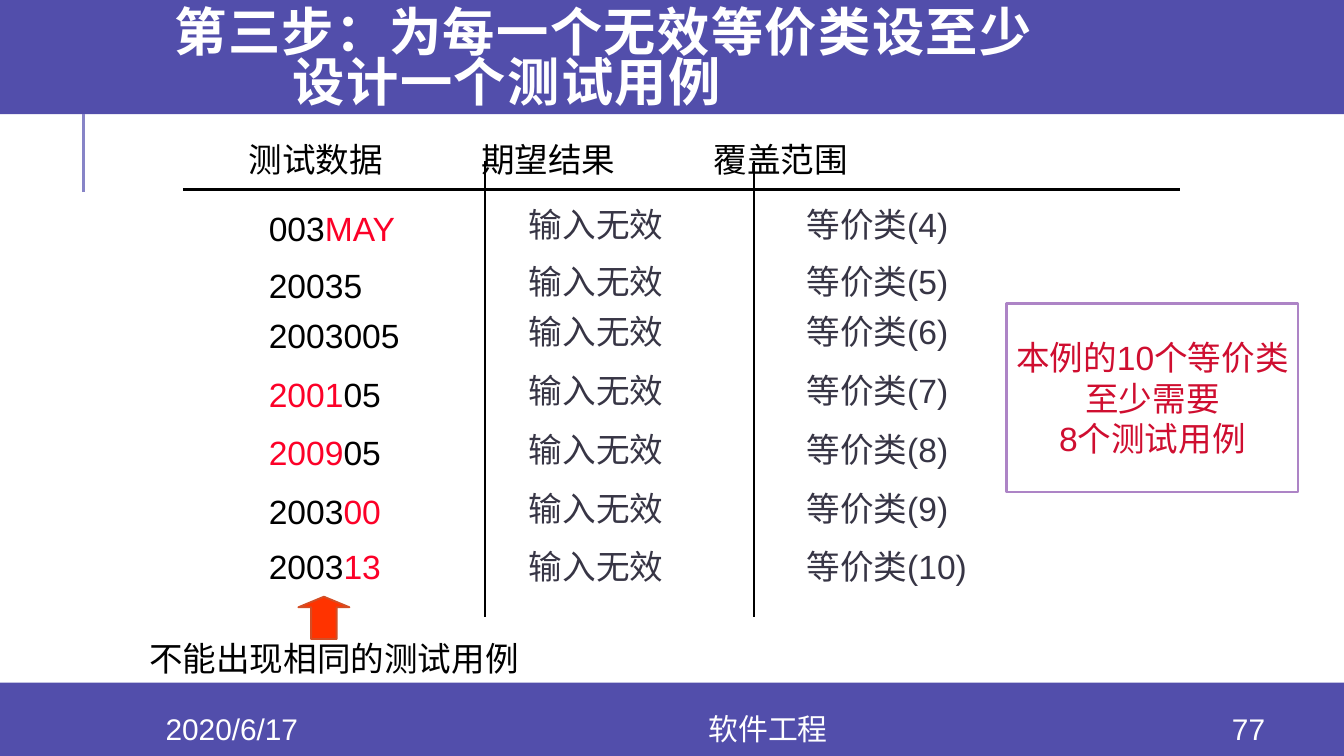
import pptx
import pptx.dml.color
import pptx.enum.shapes
import pptx.enum.text
import pptx.oxml
import pptx.util
import lxml.etree

THEME = {
    "band": "524EAB", "rail": "8784C7", "ink": "000000", "muted": "373545",
    "invalid": "FC0128", "white": "FFFFFF", "arrow": "FF3300",
    "arrow_edge": "D34E25", "note": "CF0E30", "note_edge": "AD84C6",
    "font": "Arial", "title_font": "Montserrat",
    "title_size": 28, "body_size": 18, "footer_size": 16,
}
COLUMNS, ROWS = 100, 56.25  # grid cells are a tenth of an inch square
CELL = pptx.util.Inches(0.1)
TIGHT = (0.7, 0.4)  # side and top insets, in cells

SHAPES = pptx.enum.shapes.MSO_SHAPE
LEFT, CENTER = pptx.enum.text.PP_ALIGN.LEFT, pptx.enum.text.PP_ALIGN.CENTER
TOP, MIDDLE = pptx.enum.text.MSO_ANCHOR.TOP, pptx.enum.text.MSO_ANCHOR.MIDDLE


def cells(*counts):
    return [round(count * CELL) for count in counts]


def write(holder, paragraphs, ink="ink", size="body_size", font="font", bold=None,
          align=LEFT, anchor=TOP, wrap=True, insets=(1, 0.5), hang=0,
          spacing=None, tracking=None):
    """Fill a box; each paragraph is a list of (text, colour name or None).

    A vertical tab in a text breaks the line; hang indents the lines after it.
    """
    frame = holder.text_frame
    frame.word_wrap, frame.vertical_anchor = wrap, anchor
    frame.margin_left = frame.margin_right = cells(insets[0])[0]
    frame.margin_top = frame.margin_bottom = cells(insets[1])[0]
    for index, runs in enumerate(paragraphs):
        paragraph = frame.add_paragraph() if index else frame.paragraphs[0]
        paragraph.alignment = align
        paragraph.line_spacing = spacing
        if hang:
            properties = paragraph._p.get_or_add_pPr()
            properties.set("marL", str(cells(hang)[0]))
            properties.set("indent", str(cells(-hang)[0]))
        for text, run_ink in runs:
            for number, line in enumerate(text.split("\v")):
                if number:
                    paragraph.add_line_break()
                run = paragraph.add_run()
                run.text = line
                run.font.name, run.font.size = THEME[font], pptx.util.Pt(THEME[size])
                run.font.bold = bold
                run.font.color.rgb = pptx.dml.color.RGBColor.from_string(
                    THEME[run_ink or ink])
                if tracking:
                    run._r.get_or_add_rPr().set("spc", str(tracking))


presentation = pptx.Presentation()
presentation.slide_width, presentation.slide_height = cells(COLUMNS, ROWS)
slide = presentation.slides.add_slide(presentation.slide_layouts[6])
shapes = slide.shapes

# Bands, note box and arrow
drawn = {}
for part, kind, area, fill, edge, weight in [
    ("footer", SHAPES.RECTANGLE, (0, 50.8, COLUMNS, ROWS - 50.8), "band", None, 0),
    ("header", SHAPES.RECTANGLE, (0, 0, COLUMNS, 8.5), "band", None, 0),
    ("arrow", SHAPES.UP_ARROW, (22.2, 44.4, 3.8, 3.15), "arrow", "arrow_edge", 1),
    ("note", SHAPES.RECTANGLE, (74.9, 22.6, 21.7, 14), "white", "note_edge", 1.25),
]:
    shape = shapes.add_shape(kind, *cells(*area))
    shape.shadow.inherit = False
    shape.fill.solid()
    shape.fill.fore_color.rgb = pptx.dml.color.RGBColor.from_string(THEME[fill])
    if edge:
        shape.line.color.rgb = pptx.dml.color.RGBColor.from_string(THEME[edge])
        shape.line.width = pptx.util.Pt(weight)
    else:
        shape.line.fill.background()
    drawn[part] = shape
drawn["arrow"].adjustments[0], drawn["arrow"].adjustments[1] = 0.5, 0.25

# Side rail and table rules
for ends, ink, weight in [
    ((6.2, 14.3, 6.2, 8.5), "rail", 1.5),
    ((13.6, 14.1, 87.8, 14.1), "ink", 2),
    ((36.1, 12, 36.1, 45.9), "ink", 1),
    ((56.1, 12, 56.1, 45.9), "ink", 1),
]:
    rule = shapes.add_connector(pptx.enum.shapes.MSO_CONNECTOR.STRAIGHT, *cells(*ends))
    rule.line.color.rgb = pptx.dml.color.RGBColor.from_string(THEME[ink])
    rule.line.width = pptx.util.Pt(weight)
    lxml.etree.SubElement(rule._element.spPr, pptx.oxml.ns.qn("a:effectLst"))

# Column headings, evenly spaced
for position, text in enumerate(["测试数据", "期望结果", "覆盖范围"]):
    heading = shapes.add_textbox(*cells(17.8 + 17.3 * position, 9.95, 17.3, 3.8))
    write(heading, [[(text, None)]], insets=TIGHT)

# Test cases: top of the data, top of the result and class, data
test_cases = [
    (15.05, 14.75, [("003", None), ("MAY", "invalid")]),
    (19.3, 19, [("20035", None)]),
    (23.05, 22.75, [("2003005", None)]),
    (27.4, 27.15, [("2001", "invalid"), ("05", None)]),
    (31.75, 31.5, [("2009", "invalid"), ("05", None)]),
    (36.15, 35.9, [("2003", None), ("00", "invalid")]),
    (40.2, 40.25, [("2003", None), ("13", "invalid")]),
]
for class_number, (data_row, result_row, test_data) in enumerate(test_cases, start=4):
    for column, row, width, runs, ink, wrap in [
        (19.3, data_row, 11.5, test_data, "ink", True),
        (59.3, result_row, 19.5, [(f"等价类({class_number})", None)], "muted", True),
        (38.65, result_row, 17.5, [("输入无效", None)], "muted", True),
    ]:
        entry = shapes.add_textbox(*cells(column, row, width, 3.8))
        write(entry, [runs], ink=ink, insets=TIGHT, wrap=wrap)

# Remarks
warning = shapes.add_textbox(*cells(9.5, 47, 30.7, 4))
write(warning, [[("不能出现相同的测试用例", None)]], align=CENTER)
write(drawn["note"],
      [[(line, None)] for line in ("本例的10个等价类", "至少需要", "8个测试用例")],
      ink="note", align=CENTER, anchor=MIDDLE, wrap=False)

# Title and footer
title = shapes.add_textbox(*cells(12, 0, 84.9, 9.1))
write(title, [[("第三步：为每一个无效等价类设至少\v设计一个测试用例", None)]],
      ink="white", size="title_size", font="title_font", bold=True,
      anchor=MIDDLE, hang=8.8, spacing=0.8, tracking=80)
for column, width, text in [(8.4, 17.7, "2020/6/17"), (26.1, 62.1, "软件工程"),
                            (88.9, 8, "77")]:
    footer = shapes.add_textbox(*cells(column, 53.1, width, 2.3))
    write(footer, [[(text, None)]], ink="white", size="footer_size",
          align=CENTER, anchor=MIDDLE)

presentation.save("out.pptx")
